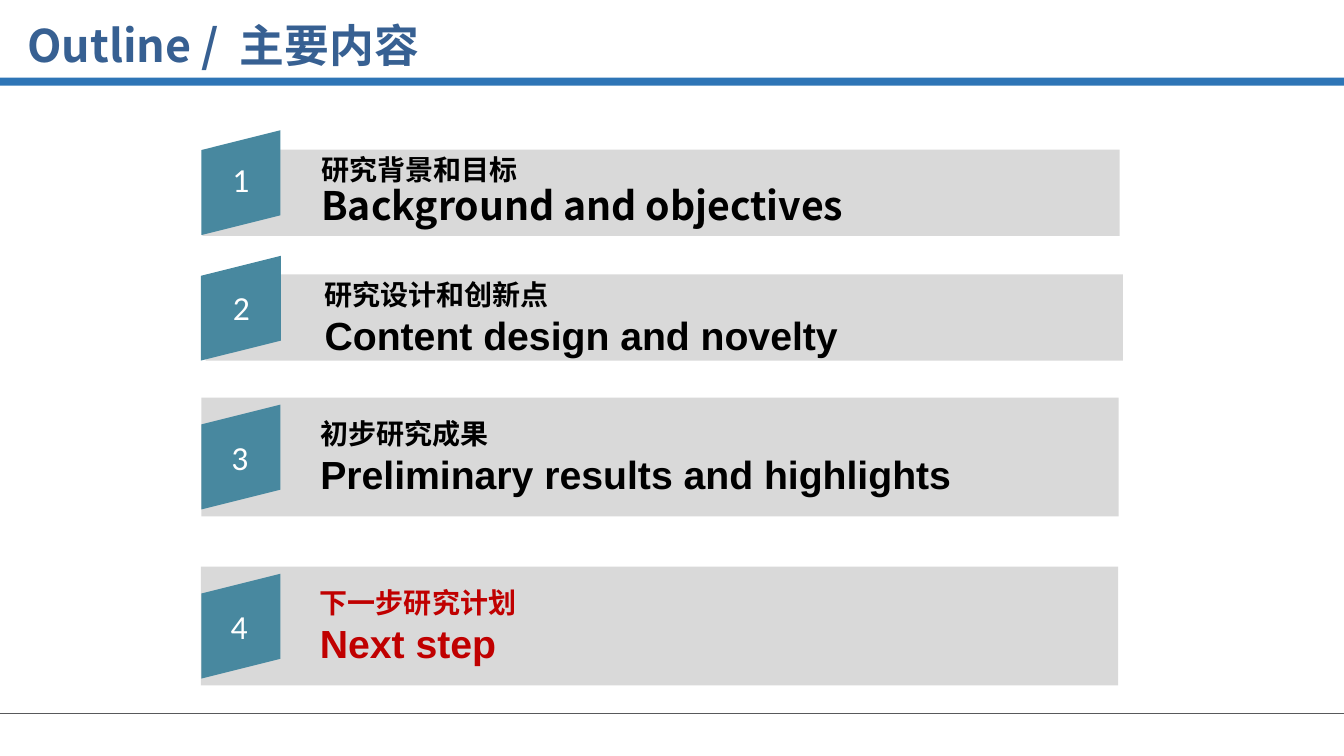
from collections import namedtuple

from lxml import etree
from pptx import Presentation
from pptx.dml.color import RGBColor
from pptx.enum import shapes, text
from pptx.oxml import ns
from pptx.util import Pt

WIDTH, HEIGHT = 960, 540
CJK_FONT = "Noto Sans CJK SC"
BLACK, RED, WHITE = "000000", "C00000", "FFFFFF"
PANEL_WIDTH, BADGE_LEFT, BADGE_LENGTH = 655.2, 134.64, 74.88
NUMBER_WIDTH, NUMBER_HEIGHT = 54.72, 47.52

Section = namedtuple(
    "Section",
    "chinese english font color spacing left top height badge_top badge_width number_left number_top")

SECTIONS = [
    Section("研究背景和目标", "Background and objectives", CJK_FONT, BLACK, 0.9,
            144.5, 106.8, 61.7, 102.24, 56.5, 144.72, 104.4),
    Section("研究设计和创新点", "Content design and novelty", "Arial", BLACK, 1,
            146.88, 196, 61.7, 191.5, 57.3, 145, 195.84),
    Section("初步研究成果", "Preliminary results and highlights", "Arial", BLACK, 1,
            143.8, 284, 84.8, 298.2, 56.5, 144, 302.4),
    Section("下一步研究计划", "Next step", "Arial", RED, 1,
            143.5, 404.8, 84.8, 419, 56.5, 143.5, 423.36),
]


def rgb(color):
    return RGBColor.from_string(color)


def set_values(target, values):
    for name, value in values.items():
        setattr(target, name, value)


def add_span(para, words, font, size, color, bold=False):
    """Add a run whose Latin and East Asian fonts are both named."""
    span = para.add_run()
    span.text = words
    set_values(span.font, {"name": font, "size": Pt(size), "bold": bold})
    span.font.color.rgb = rgb(color)
    latin = span._r.rPr.find(ns.qn("a:latin"))
    east_asian = etree.Element(ns.qn("a:ea"), typeface=CJK_FONT)
    latin.addnext(east_asian)
    return span


def add_block(page, kind, left, top, width, height, color):
    """Add a filled preset shape without outline or shadow."""
    block = page.shapes.add_shape(kind, Pt(left), Pt(top), Pt(width), Pt(height))
    block.shadow.inherit = False
    block.fill.solid()
    block.fill.fore_color.rgb = rgb(color)
    block.line.fill.background()
    return block


def add_title(page):
    title = page.shapes.title
    set_values(title, {"left": Pt(19.44), "top": Pt(0.72), "width": Pt(572.4), "height": Pt(62.64)})
    frame = title.text_frame
    set_values(frame, {"margin_left": 0, "margin_top": 0, "margin_right": 0, "margin_bottom": 0,
                       "word_wrap": True, "vertical_anchor": text.MSO_ANCHOR.MIDDLE,
                       "auto_size": text.MSO_AUTO_SIZE.NONE})
    para = frame.paragraphs[0]
    para.alignment = text.PP_ALIGN.LEFT
    spans = [add_span(para, words, CJK_FONT, 32, "376092", True)
             for words in ("Outline /", " ", "主要内容")]
    spans[1]._r.rPr.set("spc", "720")


def add_footer_line(page):
    line = page.shapes.add_connector(
        shapes.MSO_CONNECTOR.STRAIGHT, 0, Pt(509.76), Pt(WIDTH), Pt(509.76))
    line.line.color.rgb = rgb("58595B")
    line.line.width = Pt(0.75)
    etree.SubElement(line._element.spPr, ns.qn("a:effectLst"))


def add_panel(page, section):
    panel = add_block(page, shapes.MSO_SHAPE.RECTANGLE, section.left, section.top,
                      PANEL_WIDTH, section.height, "D9D9D9")
    frame = panel.text_frame
    set_values(frame, {"margin_left": Pt(85), "margin_top": Pt(3.6), "margin_right": Pt(7.2),
                       "margin_bottom": Pt(3.6), "word_wrap": True,
                       "vertical_anchor": text.MSO_ANCHOR.MIDDLE})
    paras = [frame.paragraphs[0], frame.add_paragraph()]
    for para, words, size in zip(paras, (section.chinese, section.english), (20, 28)):
        set_values(para, {"alignment": text.PP_ALIGN.LEFT, "line_spacing": section.spacing})
        add_span(para, words, section.font, size, section.color, True)


def add_badge(page, section):
    """Add the slanted badge: a mirrored parallelogram turned upright."""
    badge = add_block(page, shapes.MSO_SHAPE.PARALLELOGRAM, BADGE_LEFT, section.badge_top,
                      BADGE_LENGTH, section.badge_width, "48889F")
    badge.rotation = 90
    badge._element.spPr.xfrm.set("flipH", "1")


def add_number(page, section, number):
    box = page.shapes.add_textbox(Pt(section.number_left), Pt(section.number_top),
                                  Pt(NUMBER_WIDTH), Pt(NUMBER_HEIGHT))
    set_values(box.text_frame, {"word_wrap": True, "vertical_anchor": text.MSO_ANCHOR.MIDDLE})
    para = box.text_frame.paragraphs[0]
    para.alignment = text.PP_ALIGN.CENTER
    add_span(para, str(number), "Calibri", 24, WHITE)


def main():
    deck = Presentation()
    set_values(deck, {"slide_width": Pt(WIDTH), "slide_height": Pt(HEIGHT)})
    page = deck.slides.add_slide(deck.slide_layouts.get_by_name("Title Only"))
    add_title(page)
    add_block(page, shapes.MSO_SHAPE.RECTANGLE, 0, 55.44, WIDTH, 5.76, "2E75B6")
    add_footer_line(page)
    for number, section in enumerate(SECTIONS, 1):
        add_panel(page, section)
        add_badge(page, section)
        add_number(page, section, number)
    deck.save("out.pptx")


if __name__ == "__main__":
    main()
